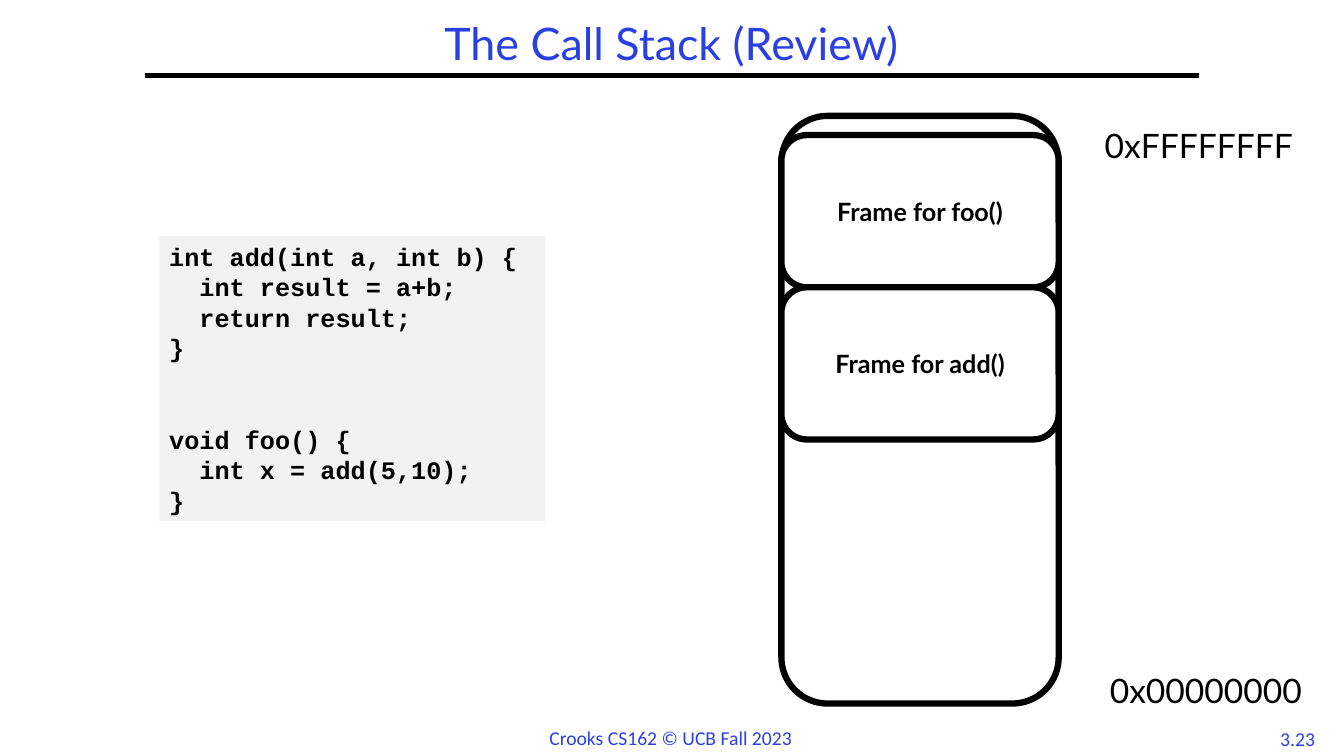
"""Build the call stack review slide."""
from pptx import Presentation
from pptx.dml.color import RGBColor
from pptx.enum import shapes as sh, text as tx
from pptx.oxml import parse_xml
from pptx.util import Inches, Pt

TITLE = "The Call Stack (Review)"
FOOT = "Crooks CS162 © UCB Fall 2023"
PAGE = "3.23"
CODE = [
    "int add(int a, int b) {",
    "  int result = a+b;",
    "  return result;",
    "}",
    "void foo() {",
    "  int x = add(5,10);",
    "}",
]
FRAMES = ["Frame for foo()", "Frame for add()"]
MARKS = [("0xFFFFFFFF", 10.69, 1.24), ("0x00000000", 10.76, 6.64)]

THEME = dict(
    blue="2A40E2", ink="000000", paper="FFFFFF", gray="F2F2F2",
    head="Lato", foot="Calibri", mono="Courier New",
    title=32, mark=24, body=18, small=14, pitch=21.8, rule=3, edge=4.5,
)
STACK = (7.75, 1.15, 2.75, 5.83)
TOP, TALL = 1.34, 1.51
NS = "http://schemas.openxmlformats.org/drawingml/2006/main"


def color(name):
    return RGBColor.from_string(THEME[name])


def write(shape, lines, face, size, ink="ink", bold=False, align="CENTER",
          anchor="TOP", wrap=True, space=None):
    frame = shape.text_frame
    frame.text = "\n".join(lines)
    frame.word_wrap = wrap
    frame.vertical_anchor = getattr(tx.MSO_ANCHOR, anchor)
    for par in frame.paragraphs:
        par.alignment = getattr(tx.PP_ALIGN, align)
        par.line_spacing = space
        for run in par.runs:
            font = run.font
            font.name, font.size = THEME[face], Pt(THEME[size])
            font.bold, font.color.rgb = bold, color(ink)
    return frame


def label(slide, box, words, face, size, **style):
    item = slide.shapes.add_textbox(*map(Inches, box))
    return write(item, [words], face, size, **style)


def block(slide, kind, box, fill, edge=True):
    item = slide.shapes.add_shape(kind, *map(Inches, box))
    item.shadow.inherit = False
    item.fill.solid()
    item.fill.fore_color.rgb = color(fill)
    if edge:
        item.line.color.rgb = color("ink")
        item.line.width = Pt(THEME["edge"])
    else:
        item.line.fill.background()
    return item


def main():
    deck = Presentation()
    deck.slide_width, deck.slide_height = Inches(13.33), Inches(7.5)
    slide = deck.slides.add_slide(deck.slide_layouts[6])

    label(slide, (12.58, 7.16, 0.58, 0.33), PAGE, "foot", "small",
          ink="blue", wrap=False)
    rule = slide.shapes.add_connector(
        sh.MSO_CONNECTOR.STRAIGHT, *map(Inches, (1.44, 0.75, 11.89, 0.75)))
    rule.line.color.rgb = color("ink")
    rule.line.width = Pt(THEME["rule"])
    rule._element.spPr.append(parse_xml(f'<a:effectLst xmlns:a="{NS}"/>'))
    label(slide, (5.35, 7.15, 2.63, 0.34), FOOT, "foot", "small",
          ink="blue", align="LEFT", wrap=False)
    label(slide, (1.44, 0.17, 10.44, 0.58), TITLE, "head", "title",
          ink="blue", anchor="MIDDLE", space=0.9)

    panel = block(slide, sh.MSO_SHAPE.RECTANGLE, (1.58, 2.34, 3.83, 2.83),
                  "gray", edge=False)
    code = write(panel, CODE, "mono", "body", bold=True, align="LEFT",
                 space=Pt(THEME["pitch"]))
    start = CODE.index("void foo() {")
    code.paragraphs[start].space_before = Pt(2 * THEME["pitch"])

    block(slide, sh.MSO_SHAPE.ROUNDED_RECTANGLE, STACK, "paper")
    for words, left, top in MARKS:
        label(slide, (left, top, 2.4, 0.86), words, "head", "mark", space=0.9)
    for row, words in enumerate(FRAMES):
        box = (STACK[0], TOP + row * TALL, STACK[2], TALL)
        item = block(slide, sh.MSO_SHAPE.ROUNDED_RECTANGLE, box, "paper")
        write(item, [words], "head", "body", bold=True, anchor="MIDDLE")

    deck.save("out.pptx")


if __name__ == "__main__":
    main()
